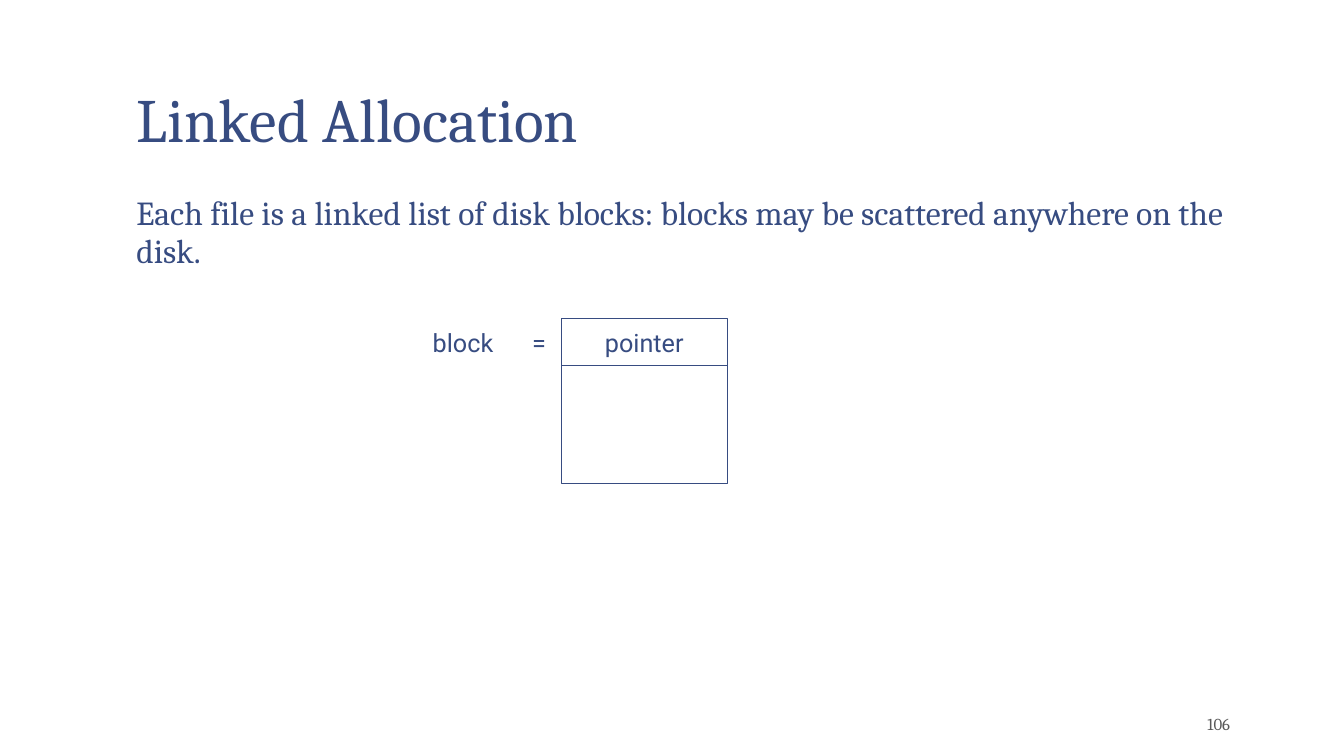
import pptx
import pptx.dml.color
import pptx.enum.shapes
import pptx.enum.text
import pptx.oxml.ns
import pptx.util
from lxml import etree

Pt = pptx.util.Pt
ALIGN = pptx.enum.text.PP_ALIGN
ANCHOR = pptx.enum.text.MSO_ANCHOR
COLORS = {"navy": "374C81", "gray": "595959", "white": "FFFFFF"}
SERIF = "Cambria"
SANS = "Roboto"
WIDE_INSETS = (9.36, 5.04)
BOX_INSETS = (7.2, 3.6)


def color(name):
    return pptx.dml.color.RGBColor.from_string(COLORS[name])


def place(shape, left, top, width, height):
    shape.left, shape.top = Pt(left), Pt(top)
    shape.width, shape.height = Pt(width), Pt(height)


def write(shape, text, size, font, color_name="navy", align=ALIGN.LEFT,
          anchor=ANCHOR.MIDDLE, insets=BOX_INSETS, spacing=1.0):
    frame = shape.text_frame
    frame.word_wrap = True
    frame.auto_size = pptx.enum.text.MSO_AUTO_SIZE.NONE
    frame.vertical_anchor = anchor
    frame.margin_left = frame.margin_right = Pt(insets[0])
    frame.margin_top = frame.margin_bottom = Pt(insets[1])
    paragraph = frame.paragraphs[0]
    paragraph.alignment = align
    paragraph.line_spacing = spacing
    paragraph.space_before = Pt(0)
    run = paragraph.add_run()
    run.text = text
    run.font.size = Pt(size)
    run.font.name = font
    run.font.color.rgb = color(color_name)
    return paragraph


def remove_bullet(paragraph):
    properties = paragraph._p.get_or_add_pPr()
    properties.set("marL", "0")
    properties.set("indent", "0")
    etree.SubElement(properties, pptx.oxml.ns.qn("a:buNone"))


def add_tab_stop(paragraph, position):
    properties = paragraph._p.get_or_add_pPr()
    tabs = etree.SubElement(properties, pptx.oxml.ns.qn("a:tabLst"))
    etree.SubElement(tabs, pptx.oxml.ns.qn("a:tab"), pos=str(Pt(position)), algn="l")


def add_text_box(slide, bounds, text, size, font, **style):
    shape = slide.shapes.add_textbox(*map(Pt, bounds))
    return write(shape, text, size, font, **style)


def add_block_part(slide, top, height):
    shape = slide.shapes.add_shape(
        pptx.enum.shapes.MSO_SHAPE.RECTANGLE, Pt(401), Pt(top), Pt(118.5), Pt(height))
    shape.shadow.inherit = False
    shape.fill.solid()
    shape.fill.fore_color.rgb = color("white")
    shape.line.color.rgb = color("navy")
    shape.line.width = Pt(0.75)
    return shape


def main():
    presentation = pptx.Presentation()
    presentation.slide_width, presentation.slide_height = Pt(960), Pt(540)
    slide = presentation.slides.add_slide(presentation.slide_layouts[1])
    slide.background.fill.solid()
    slide.background.fill.fore_color.rgb = color("white")

    title, body = slide.placeholders
    place(title, 88, 6, 800, 110)
    write(title, "Linked Allocation", 44, SERIF, anchor=ANCHOR.BOTTOM,
          insets=WIDE_INSETS, spacing=0.85)
    place(body, 88, 134, 800, 352)
    paragraph = write(
        body,
        "Each file is a linked list of disk blocks: blocks may be scattered anywhere on the disk.",
        24, SERIF, anchor=ANCHOR.TOP, insets=WIDE_INSETS, spacing=0.95)
    remove_bullet(paragraph)

    add_text_box(slide, (800.5, 504, 87.5, 25), "106", 12, SERIF, color_name="gray",
                 align=ALIGN.RIGHT, anchor=ANCHOR.BOTTOM, insets=WIDE_INSETS)

    pointer = add_block_part(slide, 227.5, 33.5)
    write(pointer, "pointer", 18, SANS, align=ALIGN.CENTER)
    add_block_part(slide, 261, 84.5)
    label = add_text_box(slide, (302, 219, 97, 51), "block\t=", 18, SANS)
    add_tab_stop(label, 71)

    presentation.save("out.pptx")


if __name__ == "__main__":
    main()
